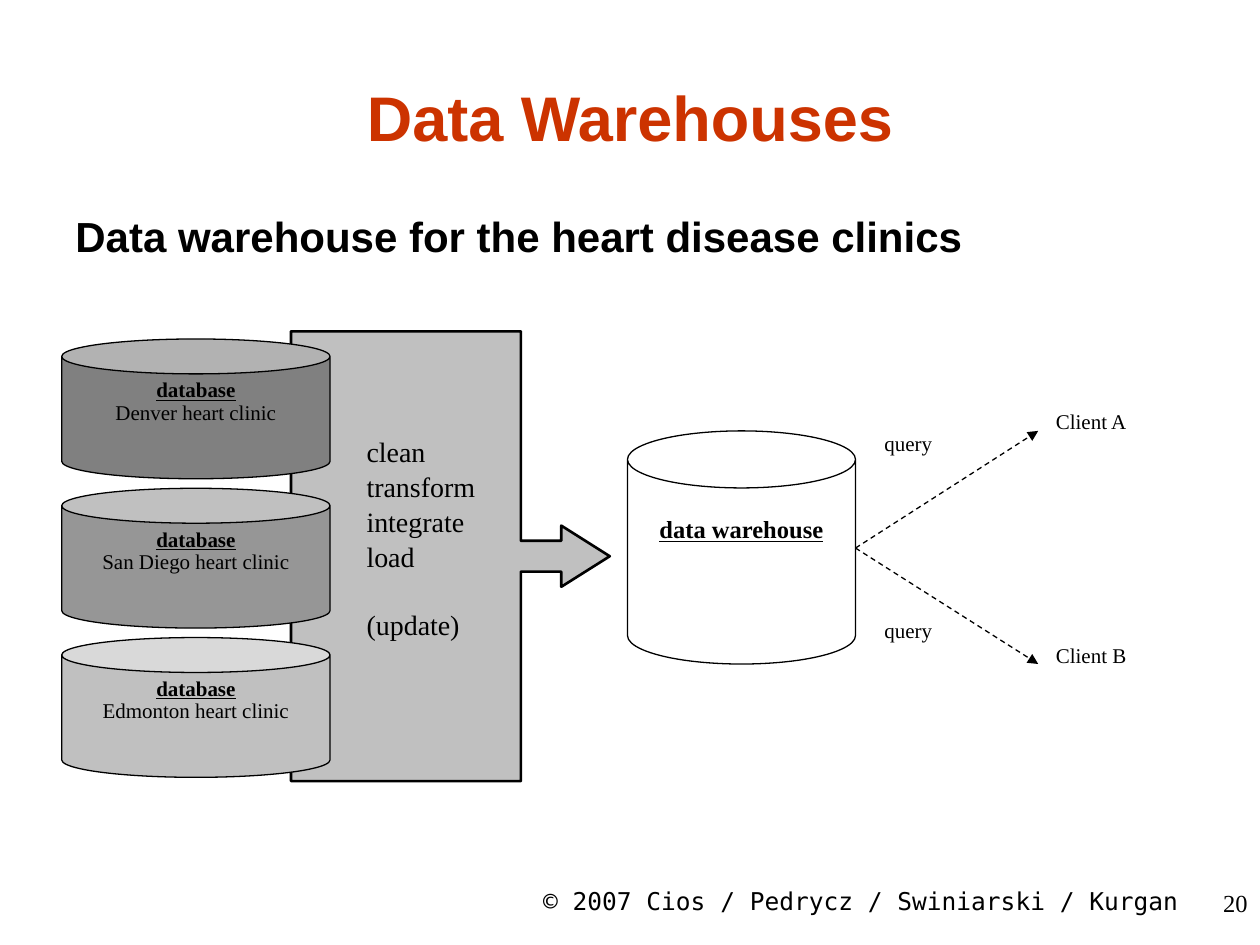
from lxml import etree
from pptx import Presentation
from pptx.dml.color import RGBColor
from pptx.enum.dml import MSO_LINE
from pptx.enum.shapes import MSO_CONNECTOR, MSO_SHAPE
from pptx.enum.text import MSO_ANCHOR, PP_ALIGN
from pptx.oxml.ns import qn
from pptx.util import Inches, Pt

CAN, CALLOUT = MSO_SHAPE.CAN, MSO_SHAPE.RIGHT_ARROW_CALLOUT
STRAIGHT, DASH = MSO_CONNECTOR.STRAIGHT, MSO_LINE.DASH
LEFT, CENTER, RIGHT = PP_ALIGN.LEFT, PP_ALIGN.CENTER, PP_ALIGN.RIGHT
TOP, MIDDLE = MSO_ANCHOR.TOP, MSO_ANCHOR.MIDDLE
BLACK = RGBColor(0x00, 0x00, 0x00)
WHITE = RGBColor(0xFF, 0xFF, 0xFF)
RED = RGBColor(0xCC, 0x33, 0x00)
SILVER = RGBColor(0xC0, 0xC0, 0xC0)
GRAY = RGBColor(0x96, 0x96, 0x96)
DARK_GRAY = RGBColor(0x80, 0x80, 0x80)

SERIF, SANS, MONO = "Times New Roman", "Arial", "DejaVu Sans Mono"
STANDARD = (0.1, 0.05, 0.1, 0.05)
NO_INSETS = (0, 0, 0, 0)

TITLE = {"name": SANS, "size": Pt(36), "bold": True, "color": RED}
SUBTITLE = {"name": SANS, "size": Pt(24), "bold": True}
FOOTER = {"name": MONO, "size": Pt(14)}
NUMBER = {"name": SERIF, "size": Pt(14)}
STEP = {"name": SERIF, "size": Pt(16)}
LABEL = {"name": SERIF, "size": Pt(12)}
DATABASE = {**LABEL, "bold": True, "underline": True}
WAREHOUSE = {**NUMBER, "bold": True, "underline": True}

TEXTS = [
    ("© 2007 Cios / Pedrycz / Swiniarski / Kurgan", (4, 6.98, 5.67, 0.52),
     FOOTER, CENTER, TOP, STANDARD),
    ("Data Warehouses", (0, 0.42, 10, 1), TITLE, CENTER, MIDDLE, STANDARD),
    ("Data warehouse for the heart disease clinics", (0.5, 1.58, 9.25, 5.5),
     SUBTITLE, LEFT, TOP, (0.1, 0.09, 0.1, 0.05)),
    ("20", (7.92, 7, 2.08, 0.5), NUMBER, RIGHT, TOP, STANDARD),
    ("query", (7.02, 3.42, 0.54, 0.37), LABEL, LEFT, TOP, NO_INSETS),
    ("query", (7.02, 4.9, 0.54, 0.37), LABEL, LEFT, TOP, NO_INSETS),
    ("Client A", (8.38, 3.24, 0.95, 0.37), LABEL, LEFT, TOP, NO_INSETS),
    ("Client B", (8.38, 5.1, 0.95, 0.37), LABEL, LEFT, TOP, NO_INSETS),
]
STEPS = ["clean", "transform", "integrate", "load", "(update)"]
CLINICS = [
    ("Denver heart clinic", DARK_GRAY),
    ("San Diego heart clinic", GRAY),
    ("Edmonton heart clinic", SILVER),
]
CLINIC_TOP, CLINIC_PITCH = 2.69, 1.185
QUERY_START = (6.79, 4.35)
QUERY_ENDS = [(8.24, 3.42), (8.24, 5.27)]


def write(shape, lines, align, anchor, insets, spacing=1.0):
    frame = shape.text_frame
    frame.word_wrap = True
    frame.vertical_anchor = anchor
    for side, inset in zip(("left", "top", "right", "bottom"), insets):
        setattr(frame, f"margin_{side}", Inches(inset))
    for index, (words, style) in enumerate(lines):
        para = frame.add_paragraph() if index else frame.paragraphs[0]
        para.alignment = align
        para.line_spacing = spacing
        span = para.add_run()
        span.text = words
        for name, value in style.items():
            if name != "color":
                setattr(span.font, name, value)
        span.font.color.rgb = style.get("color", BLACK)
    return frame


def add_figure(page, kind, place, fill, width, adjustments):
    shape = page.shapes.add_shape(kind, *map(Inches, place))
    shape.shadow.inherit = False
    shape.fill.solid()
    shape.fill.fore_color.rgb = fill
    shape.line.color.rgb = BLACK
    shape.line.width = Pt(width)
    for index, value in enumerate(adjustments):
        shape.adjustments[index] = value
    return shape


def add_query(page, start, end):
    arrow = page.shapes.add_connector(STRAIGHT, *map(Inches, start + end))
    arrow.line.color.rgb = BLACK
    arrow.line.width = Pt(0.75)
    arrow.line.dash_style = DASH
    etree.SubElement(arrow.line._get_or_add_ln(), qn("a:tailEnd"), type="triangle")
    etree.SubElement(arrow._element.spPr, qn("a:effectLst"))


def main():
    deck = Presentation()
    deck.slide_width, deck.slide_height = Inches(10), Inches(7.5)
    page = deck.slides.add_slide(deck.slide_layouts[6])

    for words, place, style, align, anchor, insets in TEXTS:
        box = page.shapes.add_textbox(*map(Inches, place))
        write(box, [(words, style)], align, anchor, insets)

    process = add_figure(page, CALLOUT, (2.31, 2.63, 2.53, 3.57), SILVER, 1.5,
                         (0.097, 0.096, 0.152, 0.721))
    frame = write(process, [(step, STEP) for step in STEPS], LEFT, TOP,
                  (0.6, 0.81, 0.1, 0.05), 1.04)
    frame.paragraphs[-1].space_before = Pt(19)

    for row, (clinic, fill) in reversed(list(enumerate(CLINICS))):
        place = (0.49, CLINIC_TOP + row * CLINIC_PITCH, 2.13, 1.11)
        database = add_figure(page, CAN, place, fill, 0.75, (0.25,))
        write(database, [("database", DATABASE), (clinic, LABEL)], CENTER, TOP,
              (0.02, 0.05, 0.02, 0), 0.88)

    warehouse = add_figure(page, CAN, (4.98, 3.42, 1.81, 1.85), WHITE, 0.75, (0.25,))
    write(warehouse, [("data warehouse", WAREHOUSE)], CENTER, TOP,
          (0.1, 0.21, 0.1, 0.05))

    for end in QUERY_ENDS:
        add_query(page, QUERY_START, end)

    deck.save("out.pptx")


if __name__ == "__main__":
    main()
